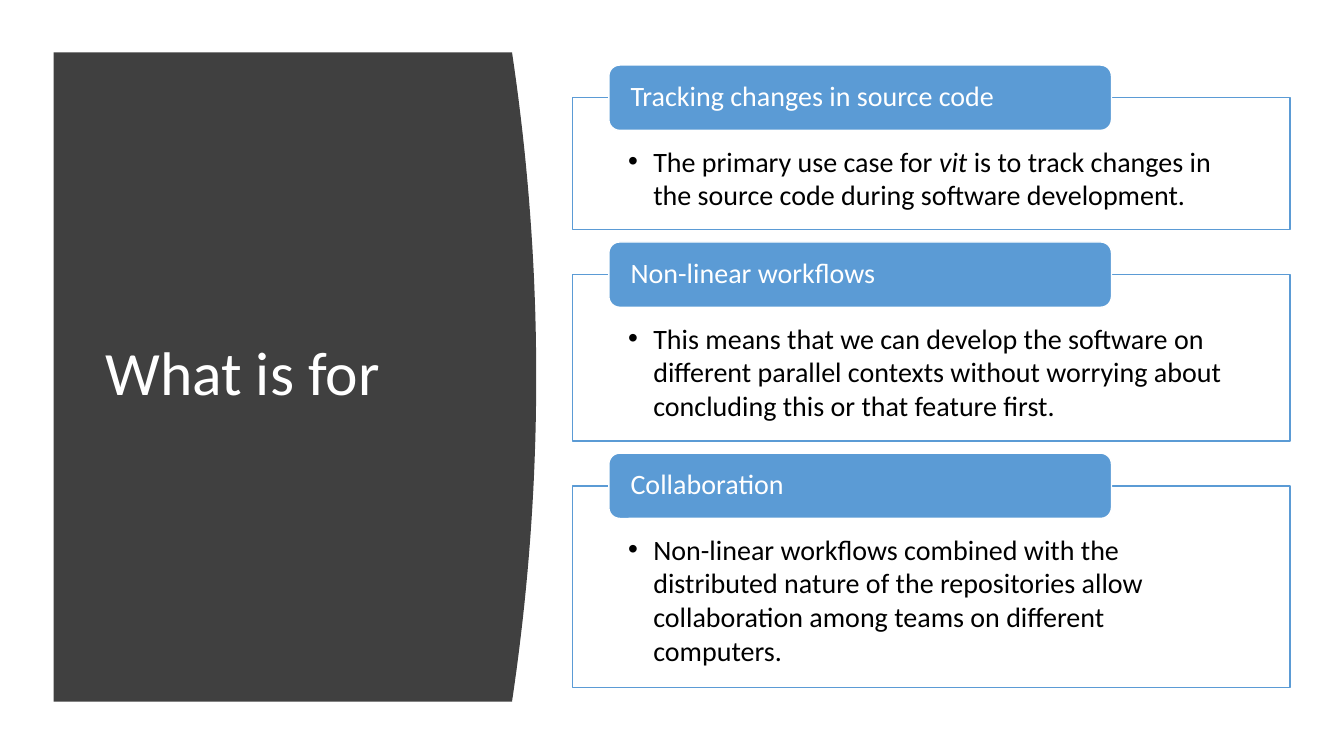
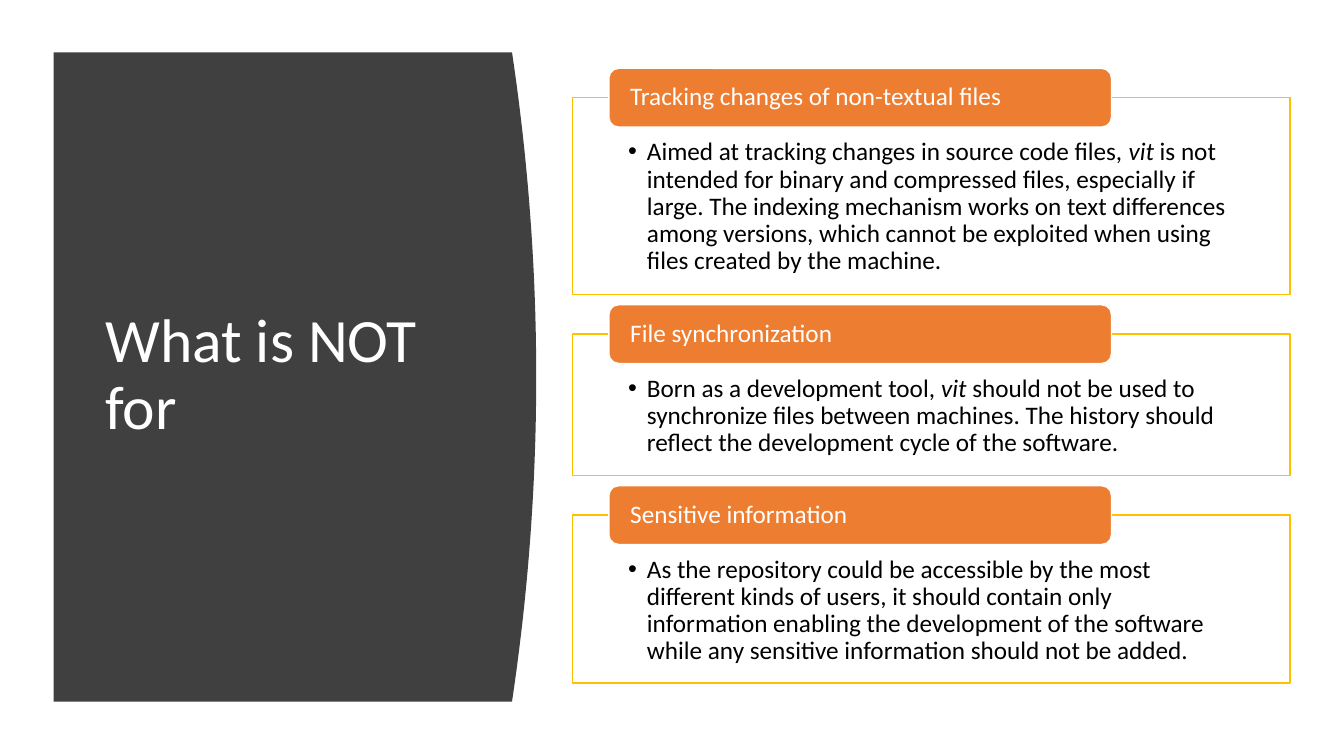
import dataclasses

import pptx
import pptx.dml.color
import pptx.enum.shapes
import pptx.enum.text
import pptx.oxml.ns
import pptx.util
from lxml import etree

WIDTH = pptx.util.Inches(13.33)
HEIGHT = pptx.util.Inches(7.5)
FONT = "Calibri"
COLORS = {
    "panel": "404040",
    "white": "FFFFFF",
    "black": "000000",
    "blue": "5B9BD5",
    "orange": "ED7D31",
    "gold": "FFC000",
}

PANEL_LEFT, PANEL_EDGE, PANEL_BULGE = 4, 38.1, 1.8
PANEL_TOP, PANEL_BOTTOM = 6.93, 92.8
PANEL_STEPS = 40
TITLE_AREA = (7.1, 14.8, 28.05, 69.87)
BOX_LEFT, BOX_WIDTH, FIRST_BOX_TOP = 42.6, 53.4, 12.93
TAB_LEFT, TAB_WIDTH = 45.3, 37.4
BOX_INSET, TAB_INSET = 4.13, 1.38
SHAPES = pptx.enum.shapes.MSO_SHAPE


@dataclasses.dataclass(frozen=True)
class Topic:
    heading: str
    body: str
    height: float


@dataclasses.dataclass(frozen=True)
class Style:
    tab_color: str
    border_color: str
    size: int
    spacing: float
    tab_height: float
    gap: float
    top_inset: float
    bottom_inset: float
    indent: float


@dataclasses.dataclass(frozen=True)
class Page:
    title: str
    style: Style
    topics: tuple[Topic, ...]


PAGES = (
    Page(
        "What is for",
        Style("blue", "blue", 20, 1.0, 8.64, 5.93, 6.13, 2.13, 1.88),
        (
            Topic(
                "Tracking changes in source code",
                "The primary use case for *vit *is to track changes in the source code "
                "during software development.",
                17.47,
            ),
            Topic(
                "Non-linear workflows",
                "This means that we can develop the software on different parallel contexts "
                "without worrying about concluding this or that feature first.",
                22,
            ),
            Topic(
                "Collaboration",
                "Non-linear workflows combined with the distributed nature of the repositories "
                "allow collaboration among teams on different computers.",
                26.67,
            ),
        ),
    ),
    Page(
        "What is NOT for",
        Style("orange", "gold", 18, 0.9, 7.77, 5.27, 5.47, 1.87, 1.41),
        (
            Topic(
                "Tracking changes of non-textual files",
                "Aimed at tracking changes in source code files, *vit *is not intended for "
                "binary and compressed files, especially if large. The indexing mechanism works "
                "on text differences among versions, which cannot be exploited when using files "
                "created by the machine.",
                26,
            ),
            Topic(
                "File synchronization",
                "Born as a development tool, *vit *should not be used to synchronize files "
                "between machines. The history should reflect the development cycle of the "
                "software.",
                18.67,
            ),
            Topic(
                "Sensitive information",
                "As the repository could be accessible by the most different kinds of users, it "
                "should contain only information enabling the development of the software while "
                "any sensitive information should not be added.",
                22.2,
            ),
        ),
    ),
)


def across(percent: float) -> int:
    return round(WIDTH * percent / 100)


def down(percent: float) -> int:
    return round(HEIGHT * percent / 100)


def area(left: float, top: float, width: float, height: float) -> tuple[int, ...]:
    return across(left), down(top), across(width), down(height)


def rgb(name: str) -> pptx.dml.color.RGBColor:
    return pptx.dml.color.RGBColor.from_string(COLORS[name])


def paint(shape, fill: str, line: str | None = None, opacity: int = 100) -> None:
    shape.shadow.inherit = False
    shape.fill.solid()
    shape.fill.fore_color.rgb = rgb(fill)
    if opacity < 100:
        color = shape.fill._xPr.find(".//" + pptx.oxml.ns.qn("a:srgbClr"))
        etree.SubElement(color, pptx.oxml.ns.qn("a:alpha"), val=str(opacity * 1000))
    if line is None:
        shape.line.fill.background()
    else:
        shape.line.color.rgb = rgb(line)
        shape.line.width = pptx.util.Pt(1)


def add_bullet(para, indent: float) -> None:
    properties = para._p.get_or_add_pPr()
    properties.set("marL", str(across(indent)))
    properties.set("indent", str(-across(indent)))
    etree.SubElement(properties, pptx.oxml.ns.qn("a:buFont"), typeface="Arial")
    etree.SubElement(properties, pptx.oxml.ns.qn("a:buChar"), char="•")


def write_text(shape, text: str, *, size: int, color: str = "white", spacing: float = 0.9,
               middle: bool = True, indent: float = 0,
               insets: tuple[float, float, float] | None = None) -> None:
    frame = shape.text_frame
    frame.word_wrap = True
    anchors = pptx.enum.text.MSO_ANCHOR
    frame.vertical_anchor = anchors.MIDDLE if middle else anchors.TOP
    if insets is not None:
        side, top, bottom = insets
        frame.margin_left = frame.margin_right = across(side)
        frame.margin_top, frame.margin_bottom = down(top), down(bottom)
    para = frame.paragraphs[0]
    para.alignment = pptx.enum.text.PP_ALIGN.LEFT
    para.line_spacing = spacing
    if indent:
        add_bullet(para, indent)
    for index, part in enumerate(text.split("*")):
        span = para.add_run()
        span.text = part
        span.font.name = FONT
        span.font.size = pptx.util.Pt(size)
        span.font.color.rgb = rgb(color)
        span.font.italic = index % 2 == 1


def draw_title_panel(page, title: str) -> None:
    curve = []
    for step in range(PANEL_STEPS + 1):
        share = step / PANEL_STEPS
        bulge = PANEL_BULGE * 4 * share * (1 - share)
        curve.append((across(PANEL_EDGE + bulge),
                      down(PANEL_TOP + share * (PANEL_BOTTOM - PANEL_TOP))))
    builder = page.shapes.build_freeform(across(PANEL_LEFT), down(PANEL_TOP))
    builder.add_line_segments(curve + [(across(PANEL_LEFT), down(PANEL_BOTTOM))])
    paint(builder.convert_to_shape(), "panel")
    box = page.shapes.add_textbox(*area(*TITLE_AREA))
    write_text(box, title, size=44)


def draw_topic(page, topic: Topic, style: Style, top: float) -> None:
    box = page.shapes.add_shape(SHAPES.RECTANGLE, *area(BOX_LEFT, top, BOX_WIDTH, topic.height))
    paint(box, "white", style.border_color, opacity=90)
    write_text(box, topic.body, size=style.size, color="black", spacing=style.spacing,
               middle=False, indent=style.indent,
               insets=(BOX_INSET, style.top_inset, style.bottom_inset))
    tab = page.shapes.add_shape(
        SHAPES.ROUNDED_RECTANGLE,
        *area(TAB_LEFT, top - style.tab_height / 2, TAB_WIDTH, style.tab_height))
    paint(tab, style.tab_color, "white")
    write_text(tab, topic.heading, size=style.size, insets=(TAB_INSET, 0, 0))


def main() -> None:
    deck = pptx.Presentation()
    deck.slide_width, deck.slide_height = WIDTH, HEIGHT
    for content in PAGES:
        page = deck.slides.add_slide(deck.slide_layouts[6])
        draw_title_panel(page, content.title)
        top = FIRST_BOX_TOP
        for topic in content.topics:
            draw_topic(page, topic, content.style, top)
            top += topic.height + content.style.gap
    deck.save("out.pptx")


if __name__ == "__main__":
    main()
